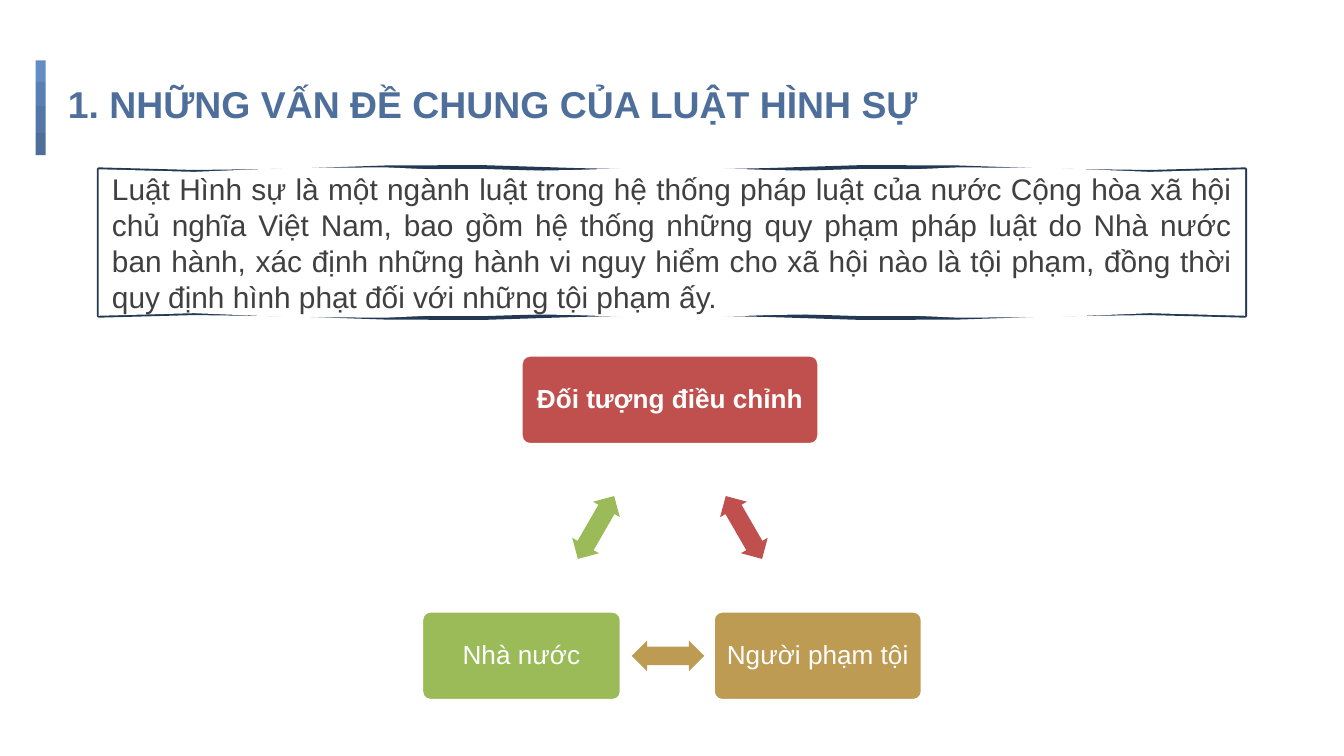
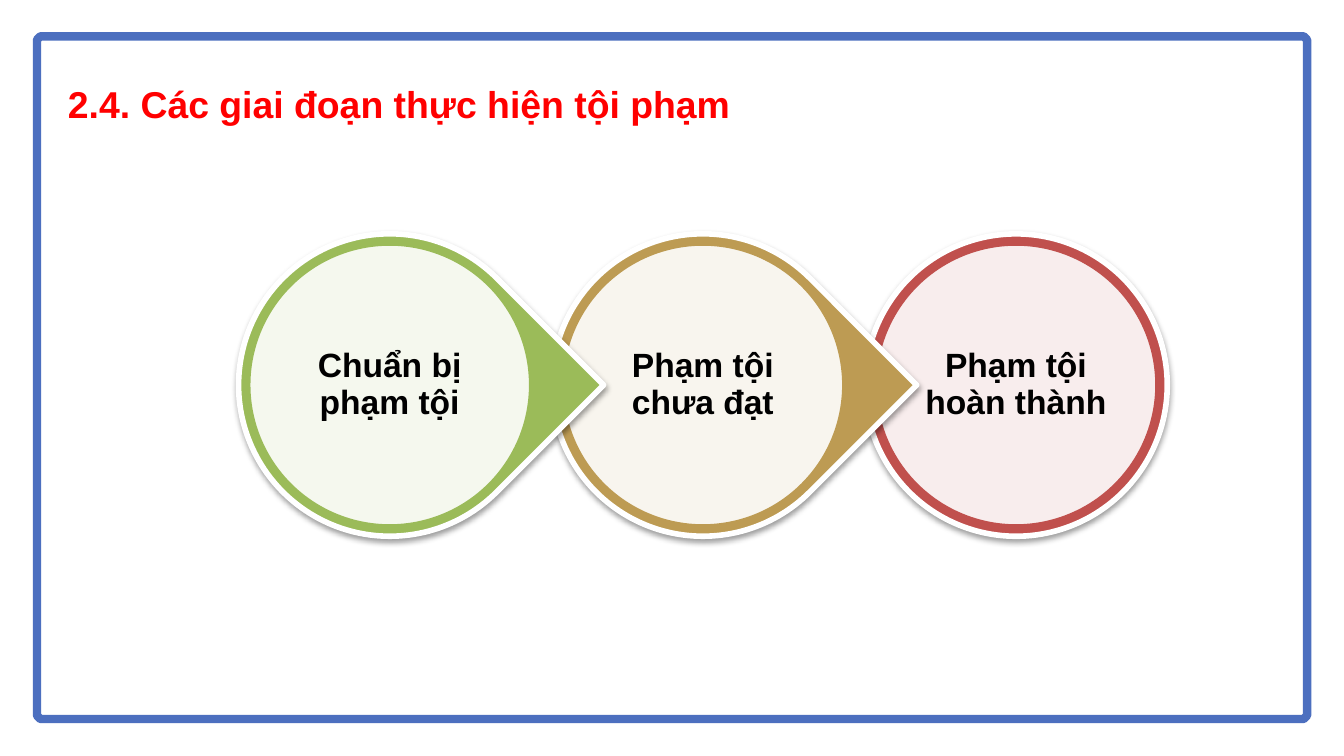
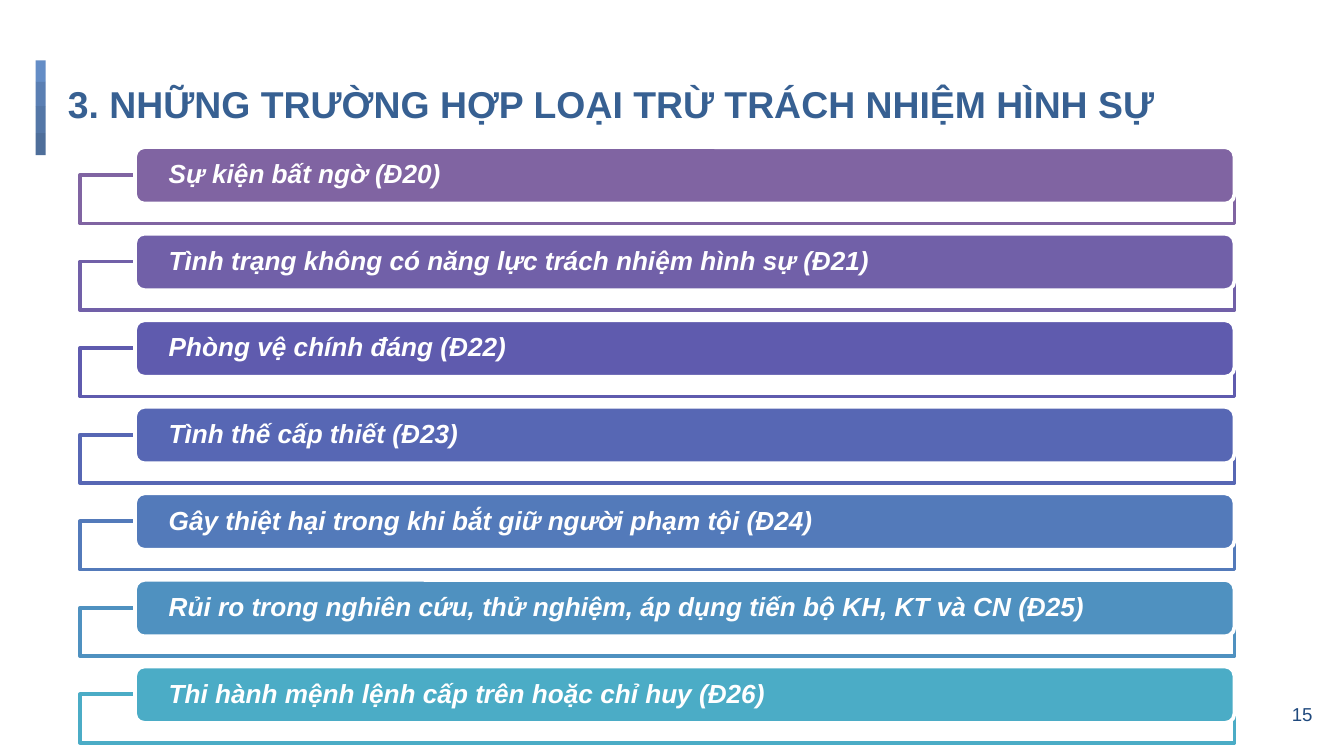
from copy import deepcopy
from math import pi, sin

from lxml import etree
from pptx import Presentation
from pptx.dml.color import RGBColor
from pptx.enum.shapes import MSO_SHAPE
from pptx.enum.text import MSO_ANCHOR, MSO_AUTO_SIZE, PP_ALIGN
from pptx.oxml.ns import qn
from pptx.util import Inches, Pt

RECTANGLE = MSO_SHAPE.RECTANGLE
ROUNDED = MSO_SHAPE.ROUNDED_RECTANGLE
ELLIPSE = MSO_SHAPE.OVAL
TEARDROP = MSO_SHAPE.TEAR
DOUBLE_ARROW = MSO_SHAPE.LEFT_RIGHT_ARROW
LEFT, CENTER, RIGHT, JUSTIFY = PP_ALIGN.LEFT, PP_ALIGN.CENTER, PP_ALIGN.RIGHT, PP_ALIGN.JUSTIFY
MIDDLE = MSO_ANCHOR.MIDDLE
NO_AUTOFIT = MSO_AUTO_SIZE.NONE

COLUMNS, ROWS = 100, 56.25
CELL = Inches(10) / COLUMNS
FONT = "Arial"
TITLE_ONLY = 5

WHITE, BLACK = "FFFFFF", "000000"
RED, GOLD, GREEN = "C0504D", "BD9B53", "9BBB59"
NAVY, GREY, FRAME_BLUE = "233953", "404040", "4C6FBF"
BAND = [("648DC6", 4.5, 1.6), ("5A7FB3", 6.1, 1.8), ("5477A7", 7.9, 2), ("4E6E9A", 9.9, 1.65)]

DEFINITION = (
    "Luật Hình sự là một ngành luật trong hệ thống pháp luật của nước Cộng hòa xã hội "
    "chủ nghĩa Việt Nam, bao gồm hệ thống những quy phạm pháp luật do Nhà nước ban hành, "
    "xác định những hành vi nguy hiểm cho xã hội nào là tội phạm, đồng thời quy định hình "
    "phạt đối với những tội phạm ấy."
)
STAGES = [
    ("Chuẩn bị phạm tội", GREEN),
    ("Phạm tội chưa đạt", GOLD),
    ("Phạm tội hoàn thành", RED),
]
EXCLUSIONS = [
    ("Sự kiện bất ngờ (Đ20)", "8064A2"),
    ("Tình trạng không có năng lực trách nhiệm hình sự (Đ21)", "7160A8"),
    ("Phòng vệ chính đáng (Đ22)", "5F5BAE"),
    ("Tình thế cấp thiết (Đ23)", "5767B4"),
    ("Gây thiệt hại trong khi bắt giữ người phạm tội (Đ24)", "537ABA"),
    ("Rủi ro trong nghiên cứu, thử nghiệm, áp dụng tiến bộ KH, KT và CN (Đ25)", "4F91C0"),
    ("Thi hành mệnh lệnh cấp trên hoặc chỉ huy (Đ26)", "4BACC6"),
]


def cells(*counts):
    return [round(count * CELL) for count in counts]


def color(hex_string):
    return RGBColor.from_string(hex_string)


def paint(shape, fill, line=None, width=2):
    shape.shadow.inherit = False
    shape.fill.solid()
    shape.fill.fore_color.rgb = color(fill)
    if line:
        shape.line.color.rgb = color(line)
        shape.line.width = Pt(width)
    else:
        shape.line.fill.background()


def add_block(slide, kind, box, fill, line=None, width=2, adjust=None, rotation=0):
    shape = slide.shapes.add_shape(kind, *cells(*box))
    paint(shape, fill, line, width)
    for index, value in enumerate(adjust or []):
        shape.adjustments[index] = value
    shape.rotation = rotation
    return shape


def add_outline(slide, contours, fill, line, width=2):
    first, *others = [[cells(*point) for point in contour] for contour in contours]
    builder = slide.shapes.build_freeform(*first[0])
    builder.add_line_segments(first[1:], close=True)
    for contour in others:
        builder.move_to(*contour[0])
        builder.add_line_segments(contour[1:], close=True)
    shape = builder.convert_to_shape()
    paint(shape, fill, line, width)
    return shape


def write(shape, text, size, text_color, align=CENTER, bold=False, italic=False,
          spacing=0.9, inset=(1, 0.5)):
    frame = shape.text_frame
    frame.word_wrap = True
    frame.auto_size = NO_AUTOFIT
    frame.vertical_anchor = MIDDLE
    frame.margin_left, frame.margin_top = cells(*inset)
    frame.margin_right, frame.margin_bottom = cells(*inset)
    paragraph = frame.paragraphs[0]
    paragraph.text = text
    paragraph.alignment = align
    paragraph.line_spacing = spacing
    font = paragraph.font
    font.name, font.size = FONT, Pt(size)
    font.bold, font.italic = bold, italic
    font.color.rgb = color(text_color)


def make_translucent(shape, percent):
    fill_color = shape.fill._xPr.find(qn("a:solidFill"))[0]
    etree.SubElement(fill_color, qn("a:alpha"), val=str(percent * 1000))


def add_shadow(shape):
    effects = shape._element.spPr.find(qn("a:effectLst"))
    shadow = etree.SubElement(effects, qn("a:outerShdw"), blurRad=str(Pt(3.1)),
                              dist=str(Pt(1.6)), dir="5400000", rotWithShape="0")
    shade = etree.SubElement(shadow, qn("a:srgbClr"), val=BLACK)
    etree.SubElement(shade, qn("a:alpha"), val="38000")


def add_titled_slide(presentation, title, title_color):
    slide = presentation.slides.add_slide(presentation.slide_layouts[TITLE_ONLY])
    shape = slide.shapes.title
    shape.left, shape.top, shape.width, shape.height = cells(4.05, 4.9, 92.5, 6.3)
    write(shape, title, 20, title_color, LEFT, bold=True, spacing=0.75, inset=(1, 1))
    return slide


def move_band_to_layout(slide):
    layout_tree = slide.slide_layout.shapes._spTree
    for fill, top, height in BAND:
        segment = add_block(slide, RECTANGLE, (2.65, top, 0.75, height), fill)
        layout_tree.append(segment._element)


def wavy_contour(left, top, width, height, waves):
    steps = 12
    upper, lower = [], []
    for step in range(steps + 1):
        x = left + width * step / steps
        wave = 0.2 * sin(pi * waves * step / steps)
        upper.append((x, top + wave))
        lower.append((x, top + height - wave))
    return upper + lower[::-1]


def add_sketched_box(slide, box):
    contours = [wavy_contour(*box, waves) for waves in (5, 7)]
    shape = add_outline(slide, contours, WHITE, NAVY)
    stroke_layer = shape._element.spPr.find(".//" + qn("a:path"))
    fill_layer = deepcopy(stroke_layer)
    half = len(stroke_layer) // 2
    del stroke_layer[half:]
    del fill_layer[:half]
    stroke_layer.set("fill", "none")
    fill_layer.set("stroke", "0")
    stroke_layer.addnext(fill_layer)
    return shape


def add_frame(slide, left, top, right, bottom, cut):
    corners = [
        (left + cut, top), (right - cut, top), (right, top + cut), (right, bottom - cut),
        (right - cut, bottom), (left + cut, bottom), (left, bottom - cut), (left, top + cut),
    ]
    frame = add_outline(slide, [corners], WHITE, FRAME_BLUE, 4.5)
    slide.shapes.title._element.addprevious(frame._element)


def add_party(slide, text, center, top, width, fill, bold=False):
    box = (center - width / 2, top, width, 6.7)
    shape = add_block(slide, ROUNDED, box, fill, WHITE, adjust=[0.1])
    write(shape, text, 14, WHITE, bold=bold, inset=(0.6, 0.6))


def add_relation(slide, center, middle, rotation, fill):
    width, height = 5.4, 2.3
    box = (center - width / 2, middle - height / 2, width, height)
    add_block(slide, DOUBLE_ARROW, box, fill, adjust=[0.6, 0.5], rotation=rotation)


def add_stage(slide, text, fill, left, pointed):
    kind, rotation = (TEARDROP, 45) if pointed else (ELLIPSE, 0)
    rim = add_block(slide, kind, (left, 17.4, 22.5, 22.5), fill, WHITE, 3, rotation=rotation)
    add_shadow(rim)
    disc = add_block(slide, ELLIPSE, (left + 0.75, 18.15, 21, 21), WHITE, fill)
    make_translucent(disc, 90)
    write(disc, text, 18, BLACK, bold=True, inset=(0.3, 0.3))


def add_exclusion(slide, text, fill, top):
    bracket = add_block(slide, RECTANGLE, (5.95, top + 2.08, 85.9, 3.6), WHITE, fill)
    make_translucent(bracket, 90)
    bar = add_block(slide, ROUNDED, (10.05, top, 81.8, 4.2), fill, WHITE)
    write(bar, text, 14, WHITE, LEFT, bold=True, italic=True, inset=(2.3, 0))


def add_page_number(slide, number):
    box = slide.shapes.add_textbox(*cells(92.65, 51, 6, 4.3))
    write(box, number, 10, "1F497D", RIGHT, spacing=1, inset=(1, 1))


def build_overview(presentation):
    slide = add_titled_slide(presentation, "1. NHỮNG VẤN ĐỀ CHUNG CỦA LUẬT HÌNH SỰ", "4E6F9B")
    move_band_to_layout(slide)
    definition = add_sketched_box(slide, (7.35, 12.6, 85.3, 10.9))
    write(definition, DEFINITION, 16, GREY, JUSTIFY, spacing=1)
    add_party(slide, "Đối tượng điều chỉnh", 49.85, 26.4, 22.2, RED, bold=True)
    add_relation(slide, 55.35, 39.25, 60, RED)
    add_party(slide, "Người phạm tội", 60.85, 45.45, 15.6, GOLD)
    add_relation(slide, 49.7, 48.8, 180, GOLD)
    add_party(slide, "Nhà nước", 38.8, 45.45, 14.9, GREEN)
    add_relation(slide, 44.35, 39.25, 300, GREEN)


def build_stages(presentation):
    slide = add_titled_slide(presentation, "2.4. Các giai đoạn thực hiện tội phạm", "FF0000")
    add_frame(slide, 2.75, 2.7, 97.25, 53.5, 0.25)
    last = len(STAGES) - 1
    for index, (text, fill) in reversed(list(enumerate(STAGES))):
        add_stage(slide, text, fill, 17.75 + 23.3 * index, index < last)


def build_exclusions(presentation):
    slide = add_titled_slide(
        presentation, "3. NHỮNG TRƯỜNG HỢP LOẠI TRỪ TRÁCH NHIỆM HÌNH SỰ", "376092")
    add_page_number(slide, "15")
    for index, (text, fill) in enumerate(EXCLUSIONS):
        add_exclusion(slide, text, fill, 10.95 + 6.44 * index)


def main():
    presentation = Presentation()
    presentation.slide_width, presentation.slide_height = cells(COLUMNS, ROWS)
    build_overview(presentation)
    build_stages(presentation)
    build_exclusions(presentation)
    presentation.save("out.pptx")


if __name__ == "__main__":
    main()
